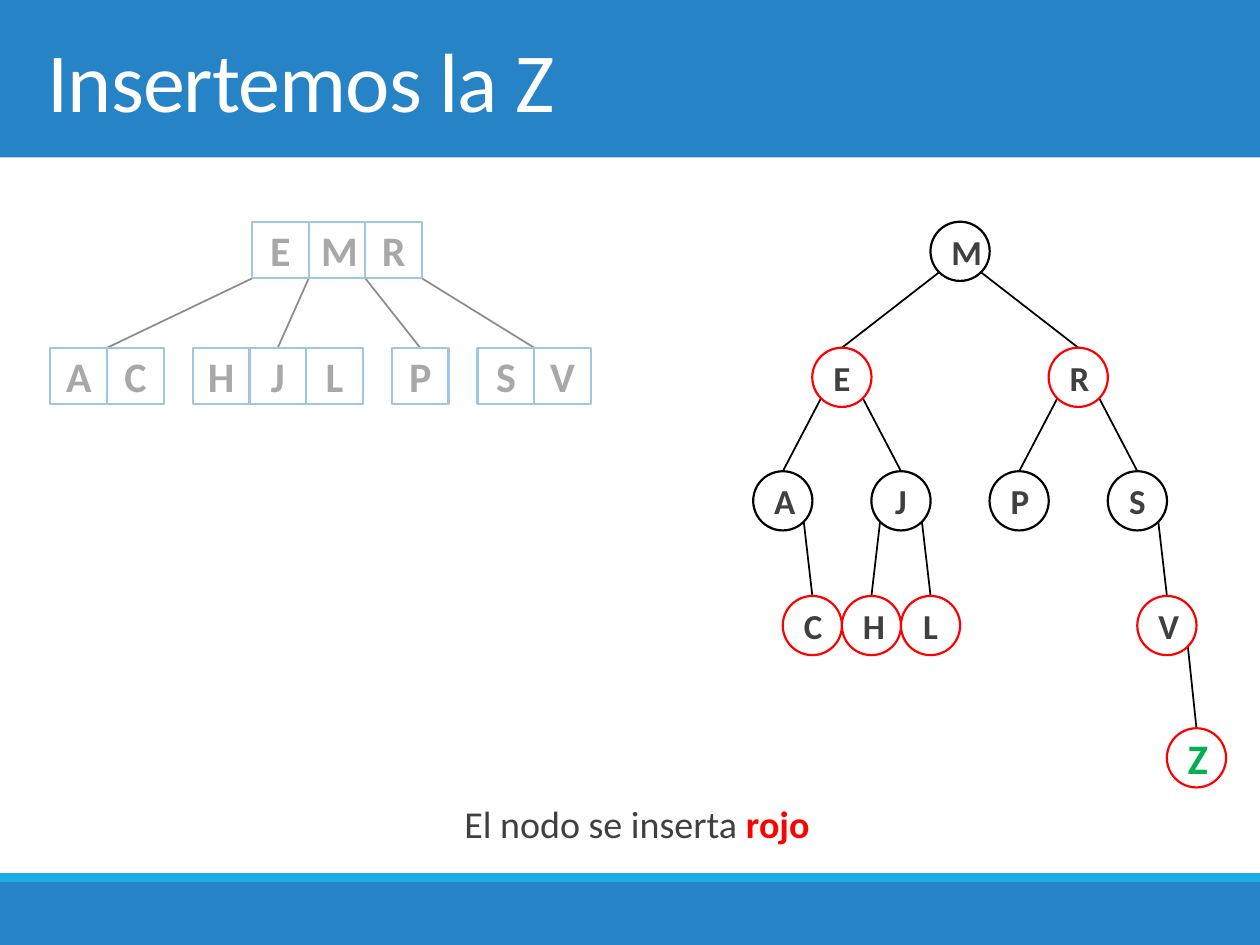
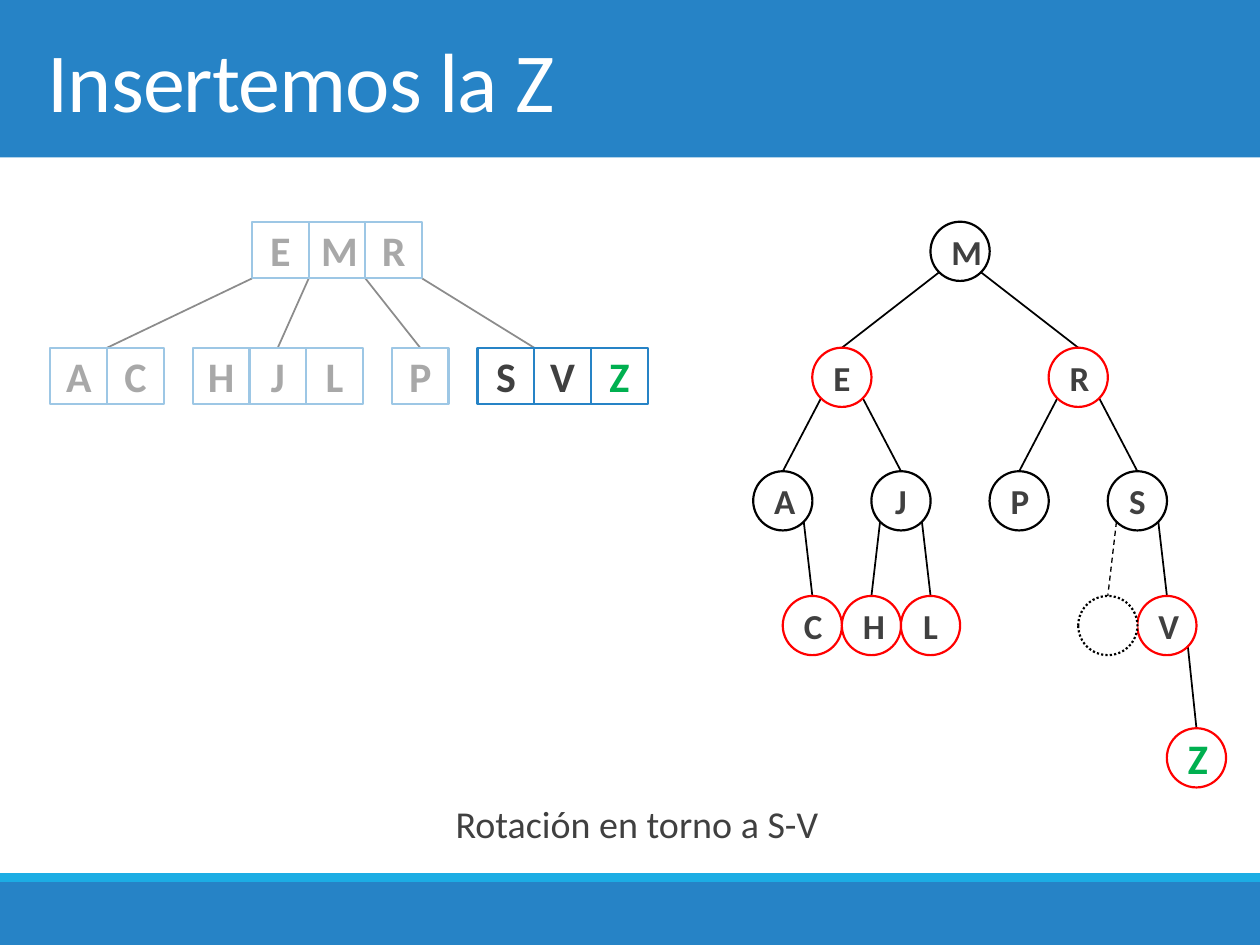
from lxml import etree
from pptx import Presentation
from pptx.dml.color import RGBColor
from pptx.enum.dml import MSO_LINE
from pptx.enum.shapes import MSO_CONNECTOR, MSO_SHAPE
from pptx.enum.text import MSO_ANCHOR, PP_ALIGN
from pptx.oxml.ns import qn
from pptx.util import Inches, Pt

BLUE = RGBColor(0x26, 0x83, 0xC6)
CYAN = RGBColor(0x1C, 0xAD, 0xE4)
WHITE = RGBColor(0xFF, 0xFF, 0xFF)
BLACK = RGBColor(0x00, 0x00, 0x00)
GRAY = RGBColor(0x40, 0x40, 0x40)
RED = RGBColor(0xFF, 0x00, 0x00)
GREEN = RGBColor(0x00, 0xB0, 0x50)
RECT, OVAL = MSO_SHAPE.RECTANGLE, MSO_SHAPE.OVAL
STRAIGHT = MSO_CONNECTOR.STRAIGHT
DASH, DOT = MSO_LINE.DASH, MSO_LINE.ROUND_DOT
CENTER, MIDDLE = PP_ALIGN.CENTER, MSO_ANCHOR.MIDDLE
FONT = "Calibri"

# 2-3-4 tree: equal cells, equal gaps between the leaves
CELL, LEAF_GAP = 0.45, 0.23
ROOT_X, ROOT_Y, LEAF_X, LEAF_Y = 2, 1.76, 0.4, 2.76
ROOT, LEAVES = "EMR", ["AC", "HJL", "P", "SV"]

# Red-black tree: columns counted from the root, one top per level
NODE, ROOT_CX, COLUMN = 0.47, 7.62, 0.2345
LEVEL_TOPS = [1.76, 2.76, 3.74, 4.73, 5.78]
CORNER = NODE / 2 * 0.707
NODES = {  # key: (column, level, parent, outline)
    "M": (0, 0, None, BLACK),
    "E": (-4, 1, "M", RED), "R": (4, 1, "M", RED),
    "A": (-6, 2, "E", BLACK), "J": (-2, 2, "E", BLACK),
    "P": (2, 2, "R", BLACK), "S": (6, 2, "R", BLACK),
    "C": (-5, 3, "A", RED), "H": (-3, 3, "J", RED), "L": (-1, 3, "J", RED),
    "V": (7, 3, "S", RED), "Z": (8, 4, "V", RED),
}


def node_center(column, level):
    return ROOT_CX + column * COLUMN, LEVEL_TOPS[level] + NODE / 2


def leaf_starts():
    starts, x = [], LEAF_X
    for keys in LEAVES:
        starts.append(x)
        x += len(keys) * CELL + LEAF_GAP
    return starts


class Deck:
    def __init__(self):
        self.prs = Presentation()
        self.prs.slide_width, self.prs.slide_height = Inches(10), Inches(7.5)
        self.s = None

    def new_slide(self, title):
        self.s = self.prs.slides.add_slide(self.prs.slide_layouts[6])
        self.shape(RECT, 0, 0, 10, 1.25, BLUE)
        self.shape(RECT, 0, 7, 10, 0.5, BLUE)
        self.shape(RECT, 0, 6.93, 10, 0.07, CYAN)
        tf = self.text_box(0.28, 0, 9.45, 1.25)
        tf.vertical_anchor = MIDDLE
        r = self.run(tf.paragraphs[0], title, 48, WHITE)
        r.font._element.set("spc", "-50")

    def shape(self, kind, x, y, w, h, fill, line=None, dash=None):
        sp = self.s.shapes.add_shape(kind, Inches(x), Inches(y), Inches(w), Inches(h))
        sp.shadow.inherit = False
        sp.fill.solid()
        sp.fill.fore_color.rgb = fill
        if line is None:
            sp.line.fill.background()
        else:
            sp.line.color.rgb = line
            sp.line.width = Pt(1.25)
            sp.line.dash_style = dash
        return sp

    def text_box(self, x, y, w, h):
        tf = self.s.shapes.add_textbox(Inches(x), Inches(y), Inches(w), Inches(h)).text_frame
        tf.word_wrap = True
        return tf

    def run(self, p, text, size, color, bold=False):
        r = p.add_run()
        r.text = text
        r.font.name, r.font.size, r.font.bold = FONT, Pt(size), bold
        r.font.color.rgb = color
        return r

    def key(self, kind, text, x, y, side, size, line):
        """Draw one letter in a square or circle; the new key Z is green."""
        sp = self.shape(kind, x, y, side, side, WHITE, line)
        sp.text_frame.vertical_anchor = MIDDLE
        p = sp.text_frame.paragraphs[0]
        p.alignment = CENTER
        self.run(p, text, size, GREEN if text == "Z" else GRAY, True)

    def line(self, x1, y1, x2, y2, width=1, dash=None):
        c = self.s.shapes.add_connector(STRAIGHT, Inches(x1), Inches(y1), Inches(x2), Inches(y2))
        c.line.color.rgb = BLACK
        c.line.width = Pt(width)
        c.line.dash_style = dash
        etree.SubElement(c._element.spPr, qn("a:effectLst"))

    def cells(self, keys, x, y):
        for i, key in enumerate(keys):
            self.key(RECT, key, x + i * CELL, y, CELL, 24, BLUE)

    def b_tree(self, leaves):
        for i, (keys, x) in enumerate(zip(LEAVES, leaf_starts())):
            self.line(ROOT_X + i * CELL, ROOT_Y + CELL, x + len(keys) * CELL / 2, LEAF_Y)
        self.cells(ROOT, ROOT_X, ROOT_Y)
        for keys, x in zip(leaves, leaf_starts()):
            self.cells(keys, x, LEAF_Y)

    def edge(self, parent, column, level, width=1, dash=None):
        """Join a parent's lower corner to the top of the child's place."""
        px, py = node_center(*NODES[parent][:2])
        x, y = node_center(column, level)
        side = CORNER if x > px else -CORNER
        self.line(px + side, py + CORNER, x, y - NODE / 2, width, dash)

    def red_black_tree(self):
        for column, level, parent, _ in NODES.values():
            if parent:
                self.edge(parent, column, level)
        for key, (column, level, _, outline) in NODES.items():
            x, y = node_center(column, level)
            size = 24 if key == "Z" else 20
            self.key(OVAL, key, x - NODE / 2, y - NODE / 2, NODE, size, outline)

    def missing_node(self, parent, column, level):
        x, y = node_center(column, level)
        self.shape(OVAL, x - NODE / 2, y - NODE / 2, NODE, NODE, WHITE, BLACK, DOT)
        self.edge(parent, column, level, 0.75, DASH)

    def veil(self, x, y, w, h):
        """Fade what lies below with translucent white."""
        sp = self.shape(RECT, x, y, w, h, WHITE)
        color = sp._element.spPr.find(qn("a:solidFill")).find(qn("a:srgbClr"))
        etree.SubElement(color, qn("a:alpha")).set("val", "55000")

    def caption(self, text, red_text=None):
        p = self.text_box(0.28, 6.2, 9.45, 0.57).paragraphs[0]
        p.alignment = CENTER
        p.line_spacing = 1.3
        p.space_before, p.space_after = Pt(12), Pt(2)
        p._p.get_or_add_pPr().set("marL", str(Inches(0.1)))
        self.run(p, text, 21.7, GRAY)
        if red_text:
            self.run(p, red_text, 21.7, RED, True)


def main():
    deck = Deck()

    deck.new_slide("Insertemos la Z")
    deck.b_tree(LEAVES)
    deck.red_black_tree()
    deck.caption("El nodo se inserta ", "rojo")
    deck.veil(0.2, 1.48, 4.78, 3.48)

    deck.new_slide("Insertemos la Z")
    deck.b_tree(LEAVES[:-1])
    deck.red_black_tree()
    deck.caption("Rotación en torno a S-V")
    deck.missing_node("S", 5, 3)
    deck.veil(0.25, 1.42, 5.19, 4.78)
    deck.cells("SVZ", leaf_starts()[-1], LEAF_Y)

    deck.prs.save("out.pptx")


if __name__ == "__main__":
    main()
